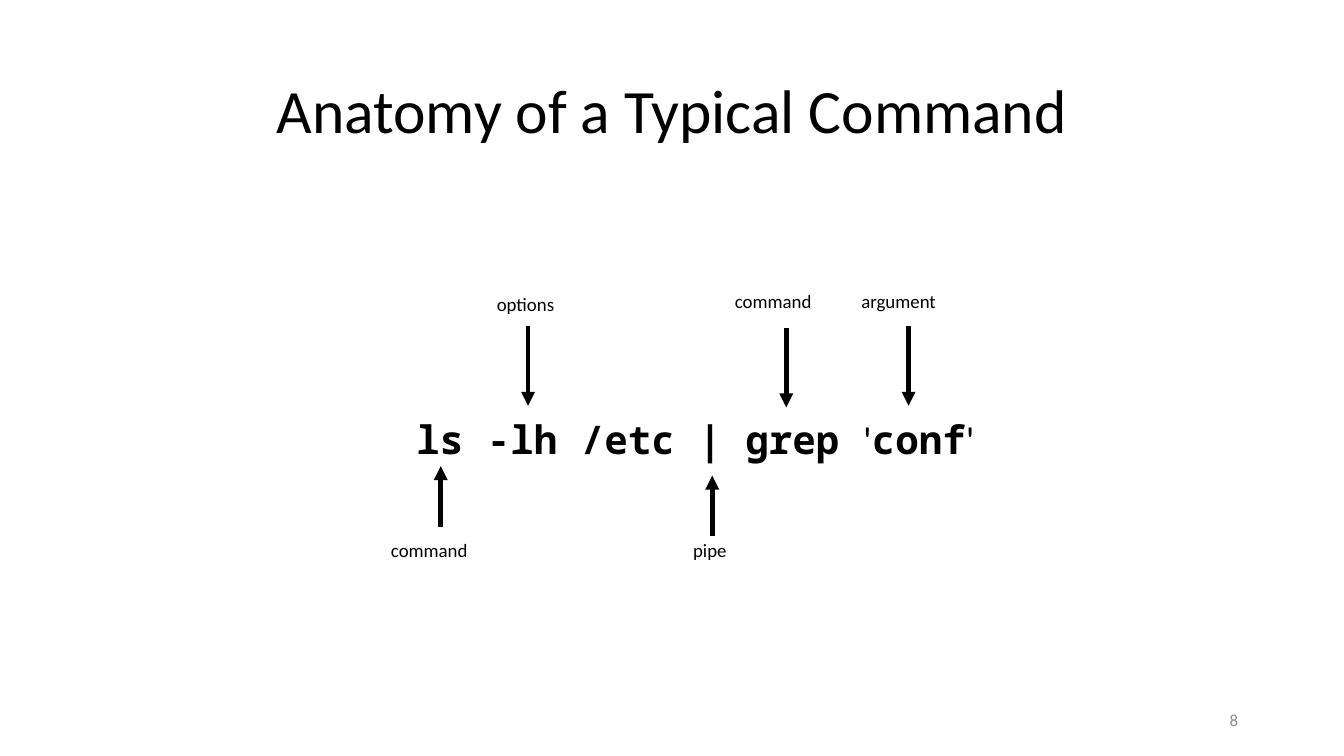
"""Build a slide that labels the parts of a shell command."""
from pptx import Presentation
from pptx.dml.color import RGBColor as RGB
from pptx.enum.shapes import MSO_CONNECTOR as Link
from pptx.enum.text import MSO_ANCHOR as Anchor, MSO_AUTO_SIZE as Fit, PP_ALIGN as Align
from pptx.oxml.xmlchemy import OxmlElement as Element
from pptx.util import Cm, Pt

COLORS = {"ink": "000000", "gray": "8C8C8C"}
SANS, MONO = "Calibri", "Noto Sans Mono"


def style(para, size, color="ink", align=Align.LEFT):
    para.alignment = align
    para.font.size = Pt(size)
    para.font.name = SANS
    para.font.color.rgb = RGB.from_string(COLORS[color])


def add_box(left, top, width, height, wrap=True):
    box = slide.shapes.add_textbox(Cm(left), Cm(top), Cm(width), Cm(height))
    box.text_frame.word_wrap = wrap
    return box.text_frame


deck = Presentation()
deck.slide_width, deck.slide_height = Cm(25.4), Cm(14.29)
slide = deck.slides.add_slide(deck.slide_layouts[5])

title = slide.shapes.title
title.left, title.top, title.width, title.height = Cm(1.75), Cm(0.76), Cm(21.9), Cm(2.77)
title.text_frame.text = "Anatomy of a Typical Command"
title.text_frame.auto_size = Fit.NONE
title.text_frame.vertical_anchor = Anchor.MIDDLE
head = title.text_frame.paragraphs[0]
style(head, 33, align=Align.CENTER)
head.line_spacing = 0.9

body = add_box(1.75, 3.81, 21.9, 9.07)
body.vertical_anchor = Anchor.MIDDLE
body.margin_left, body.margin_right = Cm(1.08), Cm(0.19)
line = body.paragraphs[0]
style(line, 21, align=Align.CENTER)
line.line_spacing, line.space_before = 0.9, Pt(7.5)
for text, bold in (("ls -lh /etc | grep ", True), ("'", False), ("conf", True), ("'", False)):
    run = line.add_run()
    run.text = text
    run.font.bold = bold
    run.font.name = MONO if bold else SANS

number = add_box(17.93, 13.23, 5.72, 0.76)
number.text = "8"
number.vertical_anchor = Anchor.MIDDLE
style(number.paragraphs[0], 9, "gray", Align.RIGHT)

PARTS = (
    ("command", 7.14, 10.06, 1.98, 8.33, 9.96, 8.81),
    ("options", 9.14, 5.41, 1.63, 9.98, 6.17, 7.67),
    ("pipe", 12.85, 10.06, 1.17, 13.46, 10.13, 8.99),
    ("command", 13.64, 5.36, 1.98, 14.86, 6.2, 7.7),
    ("argument", 16.03, 5.36, 1.96, 17.17, 6.17, 7.67),
)
for name, left, top, width, x, start, end in PARTS:
    label = add_box(left, top, width, 0.69, wrap=False)
    label.text = name
    label.auto_size = Fit.SHAPE_TO_FIT_TEXT
    style(label.paragraphs[0], 10.1)

    arrow = slide.shapes.add_connector(Link.STRAIGHT, Cm(x), Cm(start), Cm(x), Cm(end))
    arrow.line.width = Pt(2.5)
    arrow.line.color.rgb = RGB.from_string(COLORS["ink"])
    tip = Element("a:tailEnd")
    tip.set("type", "triangle")
    arrow.line._get_or_add_ln().append(tip)
    arrow._element.spPr.append(Element("a:effectLst"))

deck.save("out.pptx")
